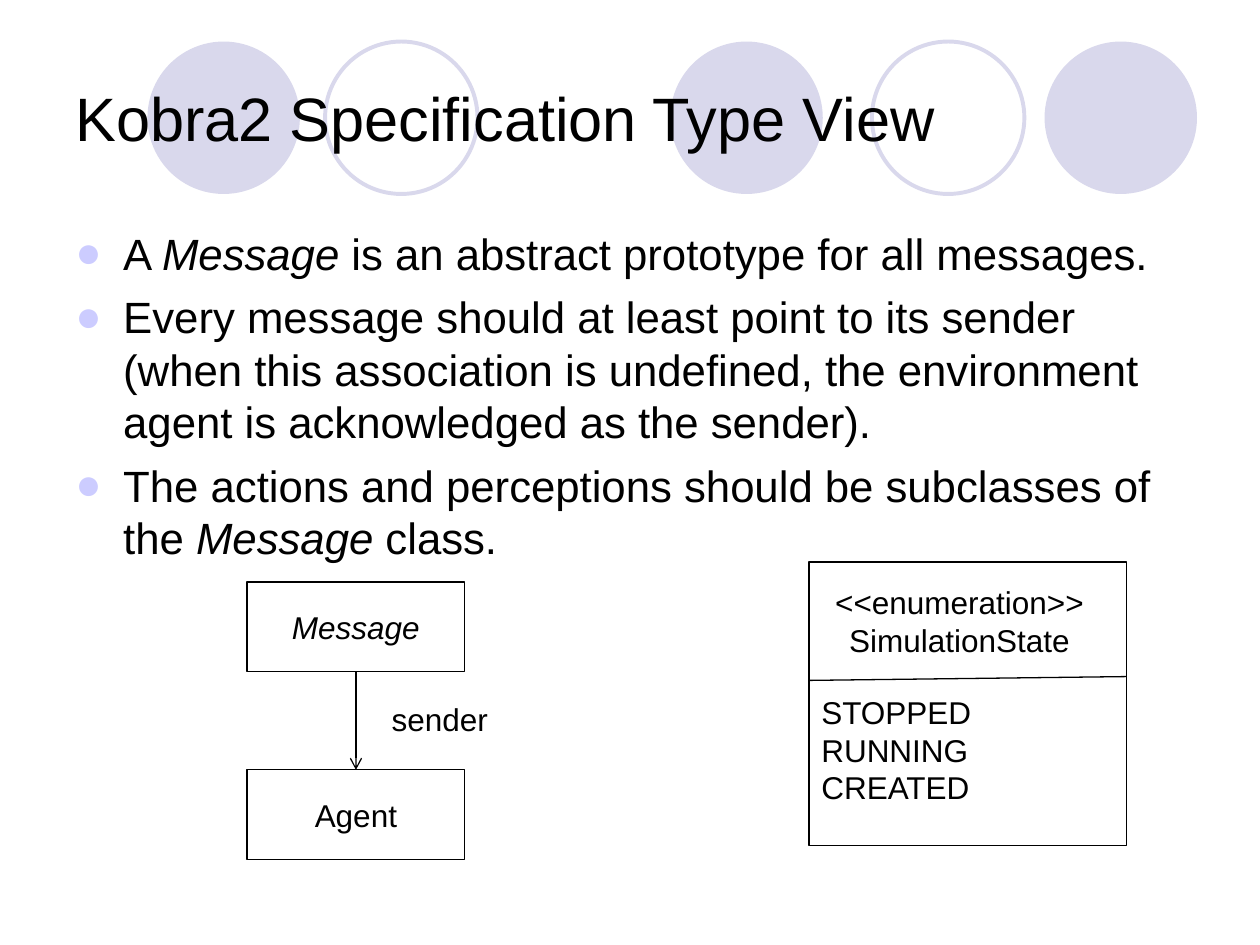
"""Build the Kobra2 specification type view slide."""
from dataclasses import dataclass

from lxml.etree import SubElement
from pptx import Presentation
from pptx.dml.color import RGBColor
from pptx.enum.shapes import MSO_CONNECTOR as Connector, MSO_SHAPE as Preset
from pptx.enum.text import MSO_ANCHOR as Anchor, MSO_AUTO_SIZE as AutoSize, PP_ALIGN as Align
from pptx.oxml.ns import qn
from pptx.util import Inches, Pt

COLORS = {"ink": "000000", "paper": "FFFFFF", "circle": "D9D8EC", "bullet": "CCCCFF"}
FONT = "Arial"
COLUMNS, ROWS = 40, 30
SLIDE_WIDTH, SLIDE_HEIGHT = Inches(10), Inches(7.5)
CIRCLE_TOP, CIRCLE_SIZE = 1.32, 4.84


@dataclass(frozen=True)
class Area:
    column: float
    row: float
    columns: float
    rows: float

    def box(self) -> tuple[int, int, int, int]:
        return (across(self.column), down(self.row),
                across(self.columns), down(self.rows))


@dataclass(frozen=True)
class Run:
    text: str
    italic: bool = False


@dataclass(frozen=True)
class Circle:
    column: float
    filled: bool


@dataclass(frozen=True)
class Label:
    area: Area
    lines: list[list[Run]]
    size: float = 18
    align: Align = Align.LEFT
    anchor: Anchor = Anchor.TOP
    wrap: bool = False
    bulleted: bool = False


CIRCLES = [Circle(21.28, True), Circle(33.16, True), Circle(4.68, True),
           Circle(27.68, False), Circle(10.32, False)]
ENUMERATION = Area(25.68, 17.84, 10.08, 9)
MESSAGE = Area(7.84, 18.48, 6.92, 2.84)
AGENT = Area(7.84, 24.44, 6.92, 2.84)
LABELS = [
    Label(Area(25.96, 18.32, 9, 2.8),
          [[Run("<<enumeration>>")], [Run("SimulationState")]], align=Align.CENTER),
    Label(Area(25.68, 21.8, 5.64, 4),
          [[Run("STOPPED")], [Run("RUNNING")], [Run("CREATED")]]),
    Label(Area(12.04, 22.04, 4, 1.6), [[Run("sender")]]),
    Label(Area(2, 1.2, 36, 5), [[Run("Kobra2 Specification Type View")]],
          size=35, anchor=Anchor.MIDDLE, wrap=True),
    Label(Area(2, 7, 36, 19.8), [
        [Run("A "), Run("Message", True),
         Run(" is an abstract prototype for all messages.")],
        [Run("Every message should at least point to its sender (when this association "
             "is undefined, the environment agent is acknowledged as the sender).")],
        [Run("The actions and perceptions should be subclasses of the "),
         Run("Message", True), Run(" class.")],
    ], size=25, wrap=True, bulleted=True),
]


def across(columns: float) -> int:
    return round(SLIDE_WIDTH * columns / COLUMNS)


def down(rows: float) -> int:
    return round(SLIDE_HEIGHT * rows / ROWS)


def color(name: str) -> RGBColor:
    return RGBColor.from_string(COLORS[name])


def add_preset(slide, preset: Preset, area: Area, fill: str | None,
               line: str | None, width: float = 0.75):
    shape = slide.shapes.add_shape(preset, *area.box())
    shape.shadow.inherit = False
    if fill:
        shape.fill.solid()
        shape.fill.fore_color.rgb = color(fill)
    else:
        shape.fill.background()
    if line:
        shape.line.color.rgb = color(line)
        shape.line.width = Pt(width)
    else:
        shape.line.fill.background()
    return shape


def add_circle(slide, circle: Circle) -> None:
    area = Area(circle.column, CIRCLE_TOP, CIRCLE_SIZE, CIRCLE_SIZE)
    fill, line = ("circle", None) if circle.filled else (None, "circle")
    add_preset(slide, Preset.OVAL, area, fill, line, 2.25)


def add_bullet(paragraph) -> None:
    properties = paragraph._p.get_or_add_pPr()
    properties.set("marL", str(Inches(0.38)))
    properties.set("indent", str(-Inches(0.38)))
    bullet_color = SubElement(properties, qn("a:buClr"))
    SubElement(bullet_color, qn("a:srgbClr"), val=COLORS["bullet"])
    SubElement(properties, qn("a:buFont"), typeface=FONT)
    SubElement(properties, qn("a:buChar"), char="●")


def write_text(shape, label: Label) -> None:
    frame = shape.text_frame
    frame.word_wrap = label.wrap
    frame.vertical_anchor = label.anchor
    for index, runs in enumerate(label.lines):
        paragraph = frame.add_paragraph() if index else frame.paragraphs[0]
        if label.bulleted:
            add_bullet(paragraph)
            if index:
                paragraph.space_before = Pt(6.2)
        paragraph.alignment = label.align
        for part in runs:
            run = paragraph.add_run()
            run.text = part.text
            run.font.name = FONT
            run.font.size = Pt(label.size)
            run.font.italic = part.italic
            run.font.color.rgb = color("ink")


def add_label(slide, label: Label) -> None:
    box = slide.shapes.add_textbox(*label.area.box())
    write_text(box, label)
    if not label.wrap:
        box.text_frame.auto_size = AutoSize.SHAPE_TO_FIT_TEXT


def add_class_box(slide, area: Area, name: Run):
    shape = add_preset(slide, Preset.RECTANGLE, area, "paper", "ink")
    write_text(shape, Label(area, [[name]], align=Align.CENTER, anchor=Anchor.MIDDLE))
    return shape


def add_line(slide, start: tuple[float, float], end: tuple[float, float]):
    connector = slide.shapes.add_connector(
        Connector.STRAIGHT, across(start[0]), down(start[1]), across(end[0]), down(end[1]))
    connector.line.color.rgb = color("ink")
    connector.line.width = Pt(0.75)
    SubElement(connector._element.spPr, qn("a:effectLst"))
    return connector


def add_association(slide, source, target) -> None:
    connector = add_line(slide, (0, 0), (1, 1))
    connector.begin_connect(source, 2)
    connector.end_connect(target, 0)
    SubElement(connector.line._get_or_add_ln(), qn("a:tailEnd"), type="arrow")


def main() -> None:
    presentation = Presentation()
    presentation.slide_width, presentation.slide_height = SLIDE_WIDTH, SLIDE_HEIGHT
    slide = presentation.slides.add_slide(presentation.slide_layouts[6])
    for circle in CIRCLES:
        add_circle(slide, circle)
    add_preset(slide, Preset.RECTANGLE, ENUMERATION, "paper", "ink")
    add_line(slide, (ENUMERATION.column, 21.6),
             (ENUMERATION.column + ENUMERATION.columns, 21.48))
    message = add_class_box(slide, MESSAGE, Run("Message", True))
    agent = add_class_box(slide, AGENT, Run("Agent"))
    add_association(slide, message, agent)
    for label in LABELS:
        add_label(slide, label)
    presentation.save("out.pptx")


if __name__ == "__main__":
    main()
